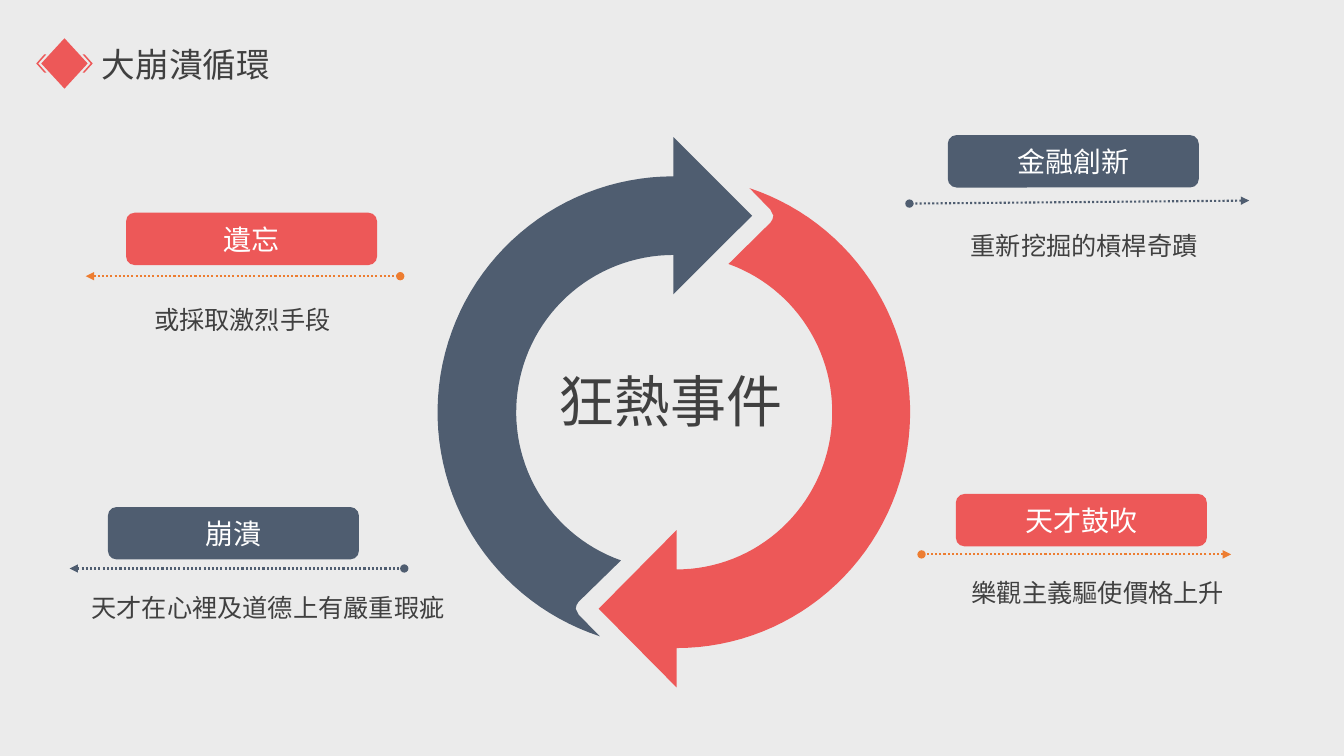
import math
from dataclasses import dataclass

import pptx
import pptx.dml.color
import pptx.enum.dml
import pptx.enum.shapes
import pptx.enum.text
import pptx.oxml.ns
import pptx.util
from lxml import etree
from pptx.util import Inches

FONT = "Noto Sans CJK SC"
RED, BLUE, ORANGE = "ED5858", "4F5D70", "ED7D31"
INK, WHITE, PAPER = "404040", "FFFFFF", "EBEBEB"
LABEL_WIDTH, LABEL_HEIGHT = 2.49, 0.52
CAPTION_HEIGHT = 0.45
qn = pptx.oxml.ns.qn


@dataclass
class Callout:
    label: str
    caption: str
    left: float
    top: float
    fill: str
    line: str
    arrow_tip: tuple
    arrow_tail: tuple
    caption_offset: tuple
    caption_width: float


CALLOUTS = [
    Callout("金融創新", "重新挖掘的槓桿奇蹟", 9.4, 1.34, BLUE, BLUE,
            (2.99, 0.65), (-0.38, 0.68), (0.13, 0.81), 2.47),
    Callout("天才鼓吹", "樂觀主義驅使價格上升", 9.48, 4.9, RED, ORANGE,
            (2.73, 0.6), (-0.34, 0.6), (0.06, 0.69), 2.73),
    Callout("崩潰", "天才在心裡及道德上有嚴重瑕疵", 1.07, 5.03, BLUE, BLUE,
            (-0.38, 0.61), (2.94, 0.61), (-0.26, 0.71), 3.74),
    Callout("遺忘", "或採取激烈手段", 1.25, 2.11, RED, ORANGE,
            (-0.4, 0.63), (2.72, 0.63), (0.18, 0.77), 1.97),
]


def colour(value):
    return pptx.dml.color.RGBColor.from_string(value)


def paint(shape, fill):
    shape.shadow.inherit = False
    shape.fill.solid()
    shape.fill.fore_color.rgb = colour(fill)
    shape.line.fill.background()


def write(shape, text, size, ink, wrap=False, spacing=None, centred=False, middle=False):
    align = pptx.enum.text.PP_ALIGN
    anchor = pptx.enum.text.MSO_ANCHOR
    frame = shape.text_frame
    frame.text = text
    frame.word_wrap = wrap
    frame.vertical_anchor = anchor.MIDDLE if middle else anchor.TOP
    paragraph = frame.paragraphs[0]
    paragraph.alignment = align.CENTER if centred else align.LEFT
    if spacing:
        paragraph.line_spacing = spacing
    font = paragraph.runs[0].font
    font.name = FONT
    font.size = pptx.util.Pt(size)
    font.color.rgb = colour(ink)
    east_asian = etree.SubElement(font._element, qn("a:ea"))
    east_asian.set("typeface", FONT)


def add_outline(slide, contours, fill):
    points = [[(Inches(x), Inches(y)) for x, y in contour] for contour in contours]
    builder = slide.shapes.build_freeform(*points[0][0])
    builder.add_line_segments(points[0][1:], close=True)
    for contour in points[1:]:
        builder.move_to(*contour[0])
        builder.add_line_segments(contour[1:], close=True)
    paint(builder.convert_to_shape(), fill)


def add_heading(slide, left, top, text):
    middle_x, middle_y = left + 0.28, top + 0.25
    diamond = [(middle_x + x, middle_y + y)
               for x, y in [(0, -0.25), (0.23, 0), (0, 0.25), (-0.23, 0)]]
    chevron = [(0.18, -0.09), (0.2, -0.09), (0.28, 0), (0.2, 0.09), (0.18, 0.09), (0.26, 0)]
    chevrons = [[(middle_x + side * x, middle_y + y) for x, y in chevron] for side in (1, -1)]
    add_outline(slide, [diamond, *chevrons], RED)

    title = slide.shapes.title
    title.left, title.top = Inches(left + 0.55), Inches(top + 0.01)
    title.width, title.height = Inches(1.88), Inches(0.5)
    write(title, text, 24, INK)


def arc(radius, start, end, steps=60):
    angles = [math.radians(start + (end - start) * step / steps) for step in range(steps + 1)]
    return [(-radius * math.sin(angle), -radius * math.cos(angle)) for angle in angles]


def add_cycle_arrow(slide, centre_x, centre_y, scale_x, scale_y, fill):
    notch = [(-0.94, 2.01), (-0.96, 1.97), (-0.97, 1.95), (-0.96, 1.91), (-0.94, 1.88)]
    head = [(0, -1.17), (0.78, -1.95), (0, -2.73)]
    outline = arc(2.34, 0, 161.8) + notch + arc(1.56, 160.5, 0) + head
    add_outline(slide, [[(centre_x + scale_x * x, centre_y + scale_y * y)
                         for x, y in outline]], fill)


def add_cycle(slide, centre_x, centre_y, text):
    add_cycle_arrow(slide, centre_x, centre_y, 1, 1, BLUE)
    add_cycle_arrow(slide, centre_x + 0.03, centre_y, -0.99, -1, RED)
    box = slide.shapes.add_textbox(Inches(centre_x - 1.24), Inches(centre_y - 0.5),
                                   Inches(2.69), Inches(0.77))
    write(box, text, 40, INK, wrap=True)


def add_dotted_arrow(slide, tip, tail, line):
    connector = slide.shapes.add_connector(
        pptx.enum.shapes.MSO_CONNECTOR.STRAIGHT, *map(Inches, tip + tail))
    connector.line.color.rgb = colour(line)
    connector.line.width = pptx.util.Pt(1.5)
    connector.line.dash_style = pptx.enum.dml.MSO_LINE.ROUND_DOT
    properties = connector._element.spPr
    outline = properties.find(qn("a:ln"))
    for end, kind in (("a:headEnd", "triangle"), ("a:tailEnd", "oval")):
        etree.SubElement(outline, qn(end)).set("type", kind)
    etree.SubElement(properties, qn("a:effectLst"))


def add_callout(slide, callout):
    def place(offset):
        return callout.left + offset[0], callout.top + offset[1]

    label = slide.shapes.add_shape(
        pptx.enum.shapes.MSO_SHAPE.ROUNDED_RECTANGLE, Inches(callout.left),
        Inches(callout.top), Inches(LABEL_WIDTH), Inches(LABEL_HEIGHT))
    paint(label, callout.fill)
    write(label, callout.label, 20, WHITE, centred=True, middle=True)
    add_dotted_arrow(slide, place(callout.arrow_tip), place(callout.arrow_tail), callout.line)
    caption = slide.shapes.add_textbox(*map(Inches, place(callout.caption_offset)),
                                       Inches(callout.caption_width), Inches(CAPTION_HEIGHT))
    write(caption, callout.caption, 18, INK, spacing=1.3)


def main():
    presentation = pptx.Presentation()
    presentation.slide_width, presentation.slide_height = Inches(13.33), Inches(7.5)
    slide = presentation.slides.add_slide(presentation.slide_layouts.get_by_name("Title Only"))
    slide.background.fill.solid()
    slide.background.fill.fore_color.rgb = colour(PAPER)
    add_heading(slide, 0.36, 0.38, "大崩潰循環")
    add_cycle(slide, 6.68, 4.09, "狂熱事件")
    for callout in CALLOUTS:
        add_callout(slide, callout)
    presentation.save("out.pptx")


if __name__ == "__main__":
    main()
